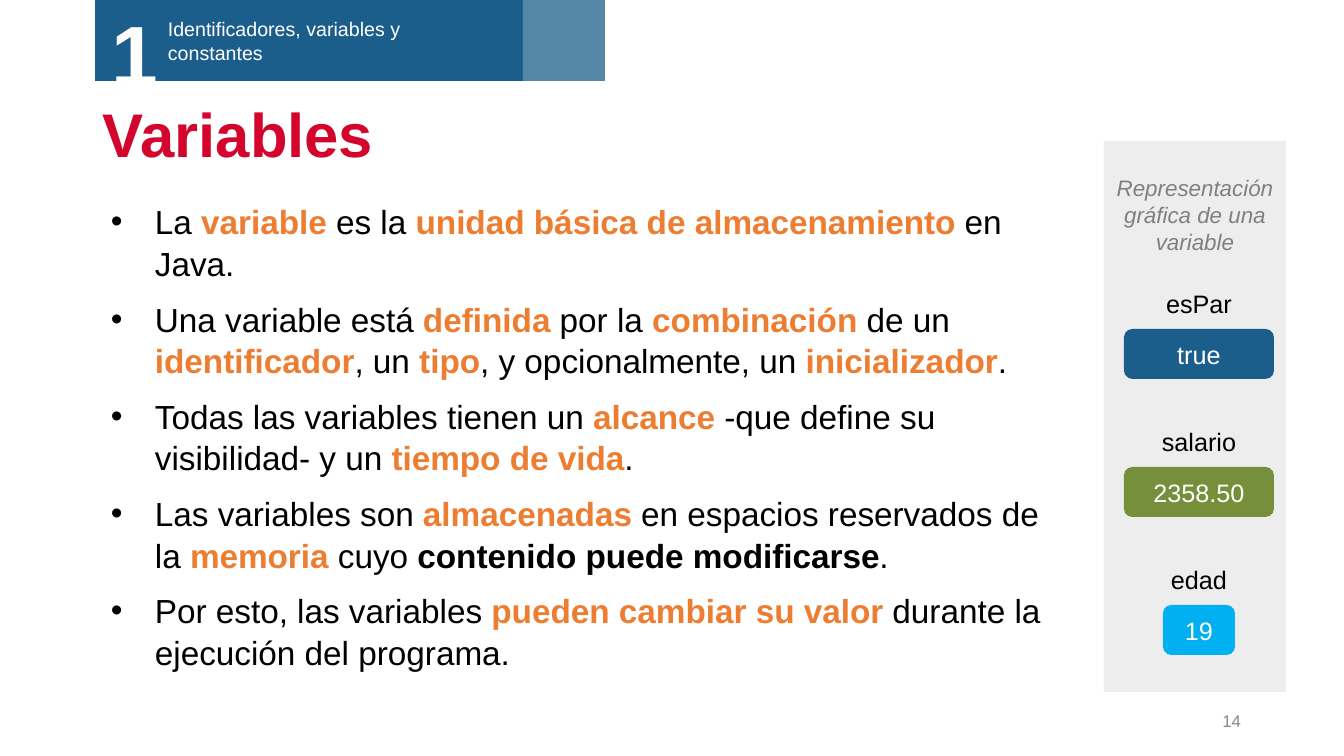
"""Build the slide that explains what a variable is in Java."""
from lxml import etree
from pptx import Presentation
from pptx.dml.color import RGBColor
from pptx.enum.shapes import MSO_SHAPE
from pptx.enum.text import MSO_ANCHOR, PP_ALIGN
from pptx.oxml.ns import qn
from pptx.util import Emu, Pt

BLACK, WHITE, ORANGE, BLUE = "000000", "FFFFFF", "ED7D31", "1B5E8B"
PLAIN, KEY, STRONG = (BLACK, False), (ORANGE, True), (BLACK, True)

BULLETS = [
    [("La ", PLAIN), ("variable", KEY), (" es la ", PLAIN),
     ("unidad básica de almacenamiento ", KEY), ("en Java.", PLAIN)],
    [("Una variable está ", PLAIN), ("definida", KEY), (" por la ", PLAIN),
     ("combinación", KEY), (" de un ", PLAIN), ("identificador", KEY),
     (", un ", PLAIN), ("tipo", KEY), (", y opcionalmente, un ", PLAIN),
     ("inicializador", KEY), (".", PLAIN)],
    [("Todas las variables tienen un ", PLAIN), ("alcance", KEY),
     (" -que define su visibilidad- y un ", PLAIN),
     ("tiempo de vida", KEY), (".", PLAIN)],
    [("Las variables son ", PLAIN), ("almacenadas", KEY),
     (" en espacios reservados de la ", PLAIN), ("memoria", KEY),
     (" cuyo ", PLAIN), ("contenido puede modificarse", STRONG), (".", PLAIN)],
    [("Por esto, las variables ", PLAIN), ("pueden cambiar su valor", KEY),
     (" durante la ejecución del programa.", PLAIN)],
]
VARIABLES = [
    ("esPar", "true", BLUE, 150),
    ("salario", "2358.50", "758F3A", 150),
    ("edad", "19", "00B0F0", 72),
]
VARIABLE_CENTER, VARIABLE_TOP, VARIABLE_PITCH = 1199, 329, 138
VALUE_HEIGHT, LABEL_WIDTH, LABEL_HEIGHT, LABEL_RISE = 50, 138, 40, 46


def px(length):
    return Emu(round(length * 914400 / 100.8))


def color(value):
    return RGBColor.from_string(value)


def style(paragraph, size, fill, bold=False, italic=False, align=PP_ALIGN.LEFT):
    paragraph.alignment = align
    font = paragraph.font
    font.name, font.size, font.bold, font.italic = "Arial", Pt(size), bold, italic
    font.color.rgb = color(fill)


def add_box(slide, kind, left, top, width, height, fill):
    shape = slide.shapes.add_shape(kind, px(left), px(top), px(width), px(height))
    shape.shadow.inherit = False
    shape.fill.solid()
    shape.fill.fore_color.rgb = color(fill)
    shape.line.fill.background()
    return shape


def add_text(slide, text, left, top, width, height, size, fill,
             anchor=MSO_ANCHOR.TOP, **look):
    box = slide.shapes.add_textbox(px(left), px(top), px(width), px(height))
    frame = box.text_frame
    frame.word_wrap = True
    frame.vertical_anchor = anchor
    frame.text = text
    style(frame.paragraphs[0], size, fill, **look)
    return frame


def add_bullets(slide):
    box = slide.shapes.add_textbox(px(95), px(195), px(980), px(491))
    frame = box.text_frame
    frame.word_wrap = True
    for index, pieces in enumerate(BULLETS):
        paragraph = frame.paragraphs[0] if index == 0 else frame.add_paragraph()
        paragraph.line_spacing = 1.04
        paragraph.space_before = Pt(10 if index else 0)
        properties = paragraph._p.get_or_add_pPr()
        properties.set("marL", str(px(50)))
        properties.set("indent", str(px(-44)))
        bullet_color = etree.SubElement(properties, qn("a:buClr"))
        etree.SubElement(bullet_color, qn("a:srgbClr"), val=BLACK)
        etree.SubElement(properties, qn("a:buFont"), typeface="Arial")
        etree.SubElement(properties, qn("a:buChar"), char="•")
        style(paragraph, 23.8, BLACK)
        for text, (fill, bold) in pieces:
            run = paragraph.add_run()
            run.text = text
            run.font.bold = bold
            run.font.color.rgb = color(fill)


def add_variables(slide):
    for index, (name, value, fill, width) in enumerate(VARIABLES):
        top = VARIABLE_TOP + index * VARIABLE_PITCH
        shape = add_box(slide, MSO_SHAPE.ROUNDED_RECTANGLE,
                        VARIABLE_CENTER - width / 2, top, width, VALUE_HEIGHT, fill)
        shape.text_frame.text = value
        shape.text_frame.vertical_anchor = MSO_ANCHOR.MIDDLE
        style(shape.text_frame.paragraphs[0], 18, WHITE, align=PP_ALIGN.CENTER)
        add_text(slide, name, VARIABLE_CENTER - LABEL_WIDTH / 2, top - LABEL_RISE,
                 LABEL_WIDTH, LABEL_HEIGHT, 18, BLACK, align=PP_ALIGN.CENTER)


def add_header(slide):
    add_box(slide, MSO_SHAPE.RECTANGLE, 95, 0, 510, 81, BLUE)
    add_text(slide, "Identificadores, variables y constantes",
             158, 12, 277, 57, 14, WHITE)
    add_text(slide, "1", 102, -3, 113, 112, 60, WHITE, bold=True)
    veil = add_box(slide, MSO_SHAPE.RECTANGLE, 523, 0, 82, 81, WHITE)
    tint = veil.fill._xPr.find(qn("a:solidFill"))[0]
    etree.SubElement(tint, qn("a:alpha"), val="25000")


def main():
    presentation = Presentation()
    presentation.slide_width, presentation.slide_height = px(1344), px(756)
    slide = presentation.slides.add_slide(presentation.slide_layouts[6])
    add_box(slide, MSO_SHAPE.RECTANGLE, 1104, 141, 182, 551, "EDEDED")
    title = add_text(slide, "Variables", 93, 94, 1159, 87, 44, "D3052C",
                     anchor=MSO_ANCHOR.MIDDLE, bold=True)
    title.paragraphs[0].line_spacing = 0.9
    add_text(slide, "14", 949, 701, 302, 40, 12, "888888",
             anchor=MSO_ANCHOR.MIDDLE, align=PP_ALIGN.RIGHT)
    add_bullets(slide)
    add_variables(slide)
    add_text(slide, "Representación gráfica de una variable",
             1104, 169, 182, 92, 16, "808080", italic=True, align=PP_ALIGN.CENTER)
    add_header(slide)
    presentation.save("out.pptx")


if __name__ == "__main__":
    main()
